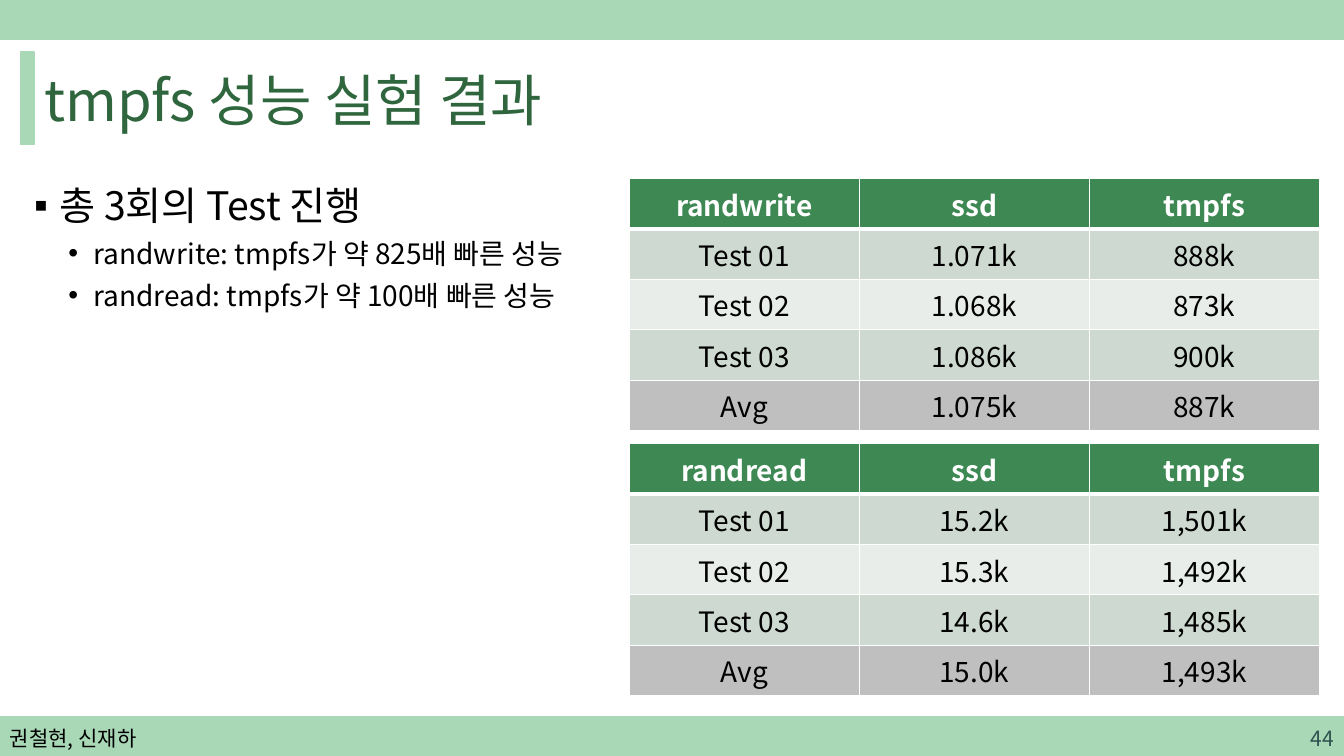
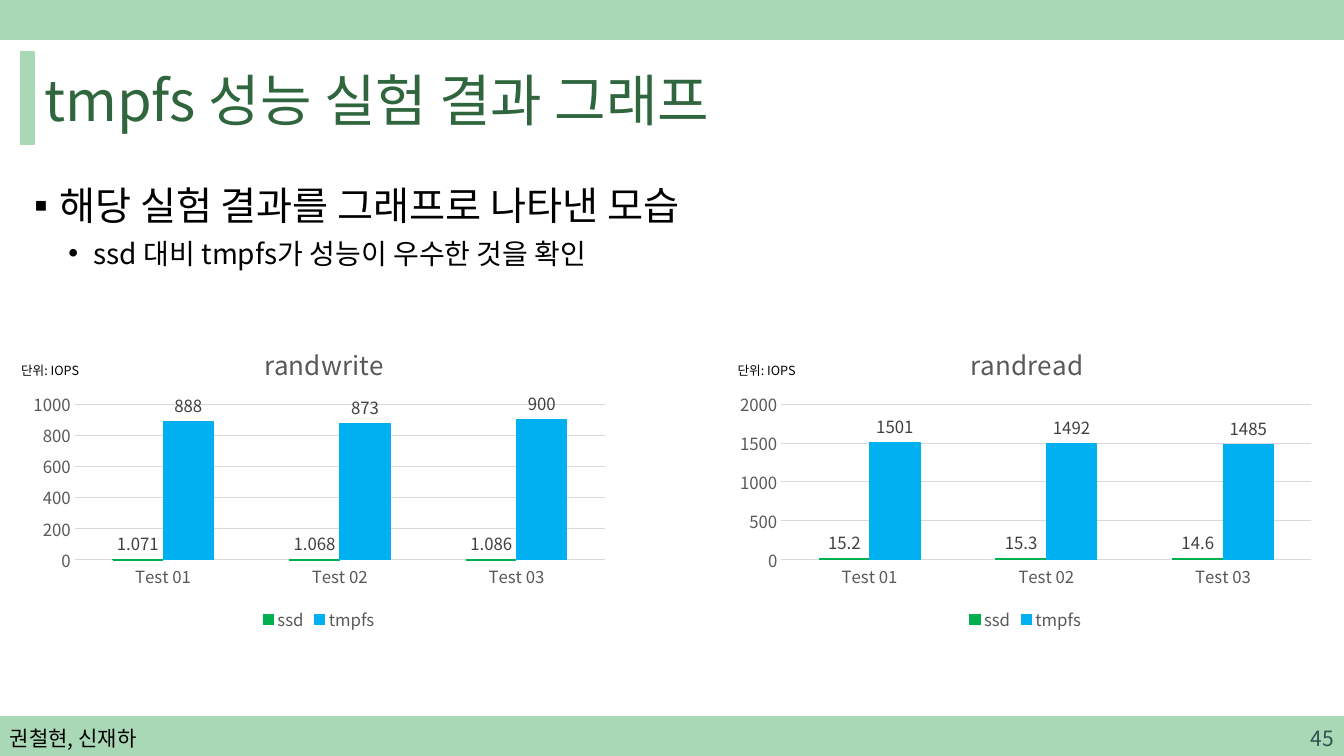
from dataclasses import dataclass

from lxml.etree import SubElement
from pptx import Presentation
from pptx.chart.data import CategoryChartData
from pptx.dml.color import RGBColor as RGB
from pptx.enum.chart import (XL_CHART_TYPE as ChartType, XL_LABEL_POSITION as LabelPos,
                             XL_LEGEND_POSITION as LegendPos, XL_TICK_MARK as Tick)
from pptx.enum.shapes import MSO_SHAPE as Shape
from pptx.enum.text import MSO_ANCHOR as Anchor, PP_ALIGN as Align
from pptx.oxml import parse_xml
from pptx.oxml.ns import nsdecls, qn
from pptx.util import Pt


@dataclass(frozen=True)
class Theme:
    font: str = "Noto Sans CJK KR"
    # Colours
    band: str = "A9D8B7"
    title: str = "2F663E"
    ink: str = "000000"
    white: str = "FFFFFF"
    number: str = "305250"
    header: str = "3E8853"
    row_dark: str = "CEDAD1"
    row_light: str = "E8EDE9"
    average: str = "BFBFBF"
    axis: str = "595959"
    label: str = "404040"
    grid: str = "D9D9D9"
    ssd: str = "00B050"
    tmpfs: str = "00B0F0"
    # Type sizes
    title_size: float = 40
    lead_size: float = 28
    body_size: float = 20
    chart_title_size: float = 18.6
    footer_size: float = 15
    chart_size: float = 12
    unit_size: float = 9


T = Theme()
WIDTH, HEIGHT, BAND = 960, 540, 28
AUTHORS = "권철현, 신재하"
TESTS = ["Test 01", "Test 02", "Test 03"]


# Shared helpers
def rgb(value):
    return RGB.from_string(value)


def pts(box):
    return [Pt(v) for v in box]


def style_font(font, size, color):
    font.name, font.size = T.font, Pt(size)
    font.color.rgb = rgb(color)


def write(p, text, size=T.body_size, color=T.ink, bold=False, align=Align.LEFT):
    p.alignment = align
    r = p.add_run()
    r.text = text
    r.font.bold = bold
    style_font(r.font, size, color)
    SubElement(r.font._element, qn("a:ea"), typeface=T.font)


def add_text(slide, box, text=None, anchor=Anchor.TOP, **fmt):
    tf = slide.shapes.add_textbox(*pts(box)).text_frame
    tf.word_wrap, tf.vertical_anchor = True, anchor
    if text:
        write(tf.paragraphs[0], text, **fmt)
    return tf


def add_bar(slide, box):
    sp = slide.shapes.add_shape(Shape.RECTANGLE, *pts(box))
    sp.shadow.inherit = False
    sp.fill.solid()
    sp.fill.fore_color.rgb = sp.line.color.rgb = rgb(T.band)
    sp.line.width = Pt(1)


# Slide frame: bands, title and footer
def add_frame(prs, title, number):
    slide = prs.slides.add_slide(prs.slide_layouts[5])
    foot = HEIGHT - BAND
    for box in ((0, 0, WIDTH, BAND), (0, foot, WIDTH, BAND), (14.8, 37.2, 9.4, 66.2)):
        add_bar(slide, box)

    sp = slide.shapes.title
    sp.left, sp.top, sp.width, sp.height = pts((24.5, 37.4, 921, 66.2))
    tf = sp.text_frame
    tf.word_wrap, tf.vertical_anchor = True, Anchor.MIDDLE
    write(tf.paragraphs[0], title, size=T.title_size, color=T.title)

    add_text(slide, (0, foot + 1, 216, BAND), AUTHORS, Anchor.MIDDLE, size=T.footer_size)
    add_text(slide, (WIDTH - 216, foot + 1, 216, BAND), str(number), Anchor.MIDDLE,
             size=T.footer_size, color=T.number, align=Align.RIGHT)
    return slide


# Bullet list: the first line leads, the rest are sub-points
def add_bullets(slide, box, lines):
    tf = add_text(slide, box)
    for i, line in enumerate(lines):
        p = tf.add_paragraph() if i else tf.paragraphs[0]
        p.level = min(i, 1)
        p.line_spacing = 1.24
        write(p, line, size=T.body_size if i else T.lead_size)
        pPr = p._p.get_or_add_pPr()
        pPr.set("marL", str(Pt(42.5 if i else 18)))
        pPr.set("indent", str(Pt(-18)))
        SubElement(pPr, qn("a:buFont"), typeface="Arial")
        SubElement(pPr, qn("a:buChar"), char="•" if i else "▪")


# Result table
def add_borders(cell, bottom):
    tcPr = cell._tc.get_or_add_tcPr()
    for i, side in enumerate("LRTB"):
        width = bottom if side == "B" else 1
        tcPr.insert(i, parse_xml(
            f'<a:ln{side} {nsdecls("a")} w="{Pt(width)}"><a:solidFill>'
            f'<a:srgbClr val="{T.white}"/></a:solidFill></a:ln{side}>'))


def add_results(slide, box, rows):
    table = slide.shapes.add_table(len(rows), len(rows[0]), *pts(box)).table
    fills = [T.header, T.row_dark, T.row_light, T.row_dark, T.average]
    for i, (row, fill) in enumerate(zip(rows, fills)):
        head = i == 0
        for j, text in enumerate(row):
            cell = table.cell(i, j)
            cell.fill.solid()
            cell.fill.fore_color.rgb = rgb(fill)
            add_borders(cell, 3 if head else 1)
            write(cell.text_frame.paragraphs[0], text, bold=head,
                  color=T.white if head else T.ink, align=Align.CENTER)


# Column chart with its unit label
def manual_layout(x, y, w=None, h=None):
    inner = '<c:layoutTarget val="inner"/>' if w else ""
    size = f'<c:w val="{w}"/><c:h val="{h}"/>' if w else ""
    return parse_xml(
        f'<c:layout {nsdecls("c")}><c:manualLayout>{inner}<c:xMode val="edge"/>'
        f'<c:yMode val="edge"/><c:x val="{x}"/><c:y val="{y}"/>{size}'
        '</c:manualLayout></c:layout>')


def set_layout(parent, layout, index):
    for old in parent.findall(qn("c:layout")):
        parent.remove(old)
    parent.insert(index, layout)


def style_axes(chart, top, step):
    cat, val = chart.category_axis, chart.value_axis
    for axis in (cat, val):
        axis.major_tick_mark = axis.minor_tick_mark = Tick.NONE
        style_font(axis.tick_labels.font, T.chart_size, T.axis)
    val.minimum_scale, val.maximum_scale, val.major_unit = 0, top, step
    val.format.line.fill.background()
    for line in (cat.format.line, val.major_gridlines.format.line):
        line.color.rgb, line.width = rgb(T.grid), Pt(0.75)


def style_series(plot):
    plot.gap_width, plot.overlap, plot.vary_by_categories = 150, 0, False
    for series, color in zip(plot.series, (T.ssd, T.tmpfs)):
        fmt = series.format
        fmt.fill.solid()
        fmt.fill.fore_color.rgb = fmt.line.color.rgb = rgb(color)
        fmt.line.width = Pt(0.75)
        labels = series.data_labels
        labels.show_value, labels.position = True, LabelPos.OUTSIDE_END
        style_font(labels.font, T.chart_size, T.label)


def add_column_chart(slide, box, title, ssd, tmpfs, top, step, unit_left):
    data = CategoryChartData()
    data.categories = TESTS
    data.add_series("ssd", ssd)
    data.add_series("tmpfs", tmpfs)
    chart = slide.shapes.add_chart(ChartType.COLUMN_CLUSTERED, *pts(box), data).chart
    style_font(chart.font, 10, T.ink)

    chart.has_title = True
    heading = chart.chart_title
    write(heading.text_frame.paragraphs[0], title, size=T.chart_title_size,
          color=T.axis, align=Align.CENTER)
    heading.include_in_layout = False
    set_layout(heading._element, manual_layout(0.4, 0.06), 1)
    set_layout(chart._chartSpace.chart.plotArea, manual_layout(0.09, 0.27, 0.89, 0.49), 0)

    style_axes(chart, top, step)
    style_series(chart.plots[0])
    chart.has_legend = True
    chart.legend.position, chart.legend.include_in_layout = LegendPos.BOTTOM, False
    style_font(chart.legend.font, T.chart_size, T.axis)

    add_text(slide, (unit_left, box[1] + 28, 76, 18), "단위: IOPS", size=T.unit_size)


# Slides
def results_slide(prs):
    slide = add_frame(prs, "tmpfs 성능 실험 결과", 44)
    add_bullets(slide, (17.3, 118, 650, 382), [
        "총 3회의 Test 진행",
        "randwrite: tmpfs가 약 825배 빠른 성능",
        "randread: tmpfs가 약 100배 빠른 성능"])
    tables = [
        ("randwrite", ["1.071k", "1.068k", "1.086k", "1.075k"],
         ["888k", "873k", "900k", "887k"]),
        ("randread", ["15.2k", "15.3k", "14.6k", "15.0k"],
         ["1,501k", "1,492k", "1,485k", "1,493k"])]
    for i, (name, ssd, tmpfs) in enumerate(tables):
        rows = [(name, "ssd", "tmpfs"), *zip(TESTS + ["Avg"], ssd, tmpfs)]
        add_results(slide, (449.5, 127.5 + i * 189.4, 493, 180), rows)


def charts_slide(prs):
    slide = add_frame(prs, "tmpfs 성능 실험 결과 그래프", 45)
    add_bullets(slide, (17.3, 118, 921, 382), [
        "해당 실험 결과를 그래프로 나타낸 모습",
        "ssd 대비 tmpfs가 성능이 우수한 것을 확인"])
    add_column_chart(slide, (15.1, 227.5, 425.5, 226.8), "randwrite",
                     (1.071, 1.068, 1.086), (888, 873, 900), 1000, 200, 8)
    add_column_chart(slide, (519.8, 227.5, 425.5, 226.8), "randread",
                     (15.2, 15.3, 14.6), (1501, 1492, 1485), 2000, 500, 519.8)


def main():
    prs = Presentation()
    prs.slide_width, prs.slide_height = Pt(WIDTH), Pt(HEIGHT)
    results_slide(prs)
    charts_slide(prs)
    prs.save("out.pptx")


if __name__ == "__main__":
    main()
